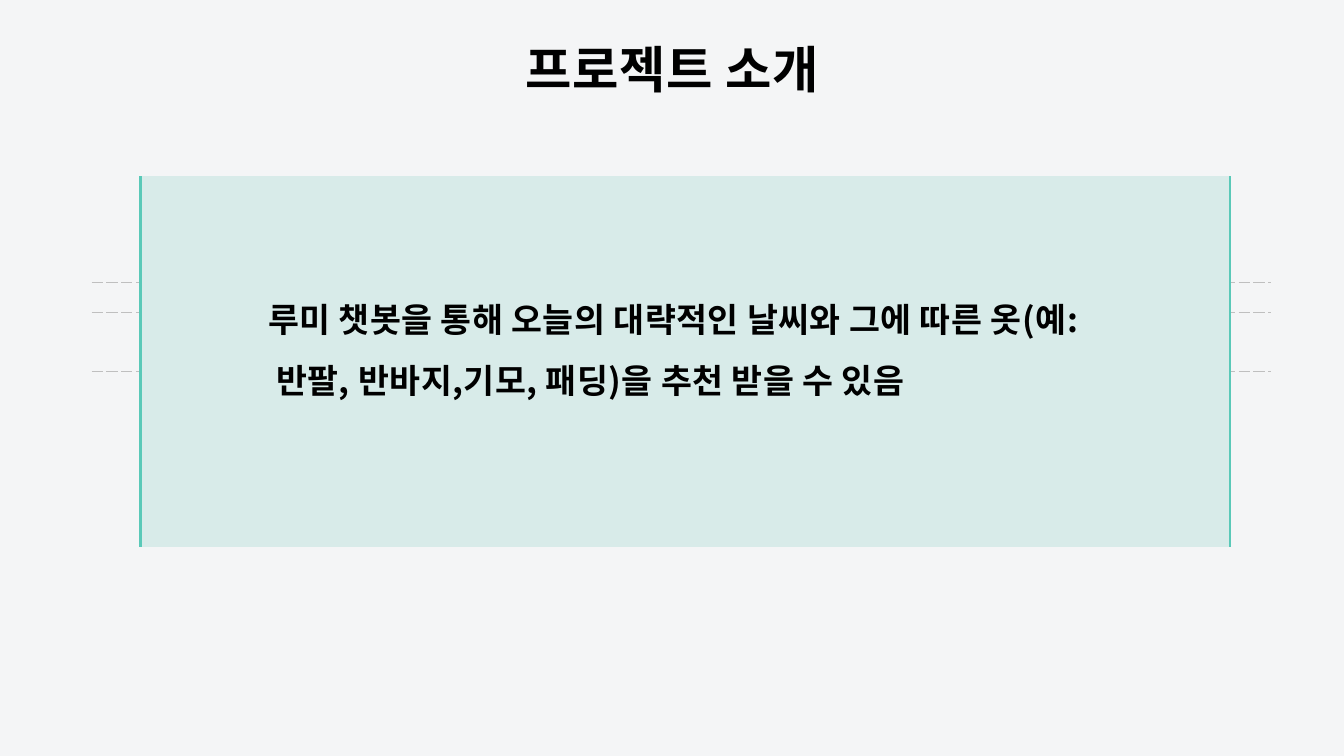
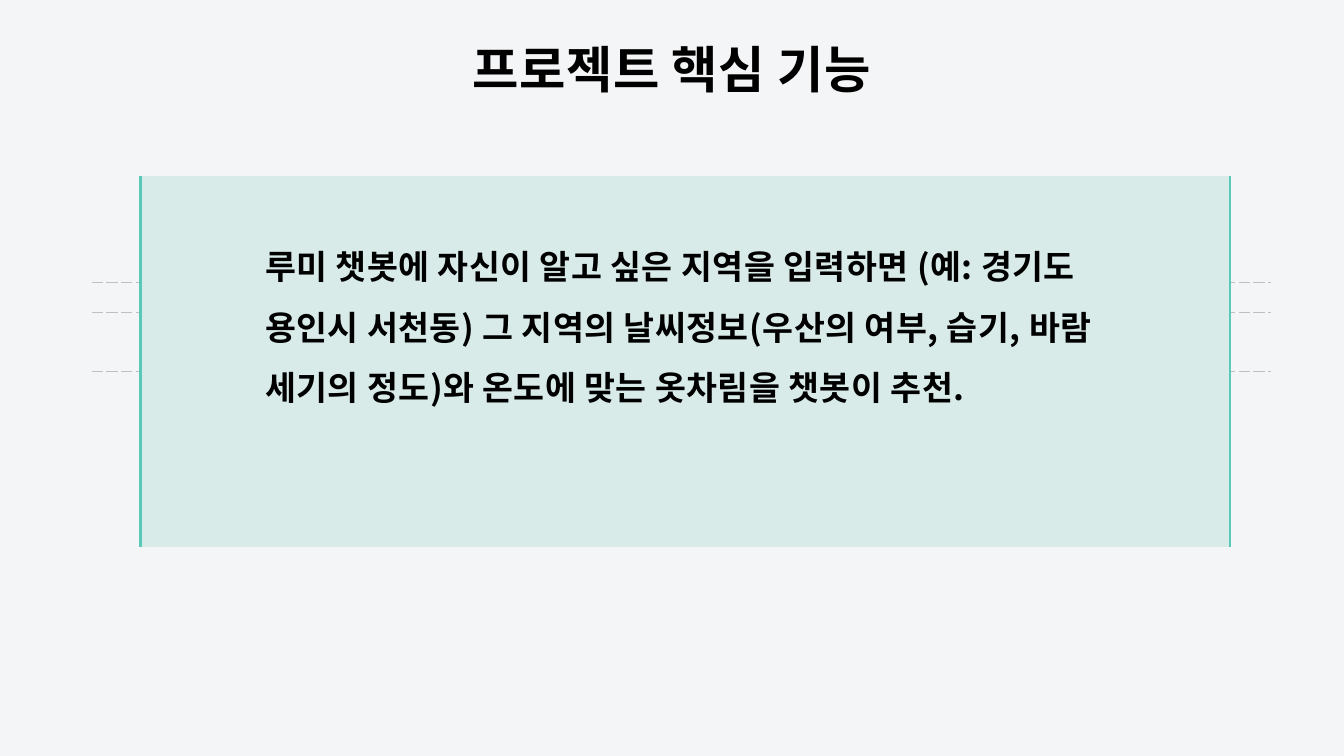
from lxml.etree import SubElement
from pptx import Presentation
from pptx.dml.color import RGBColor
from pptx.enum.text import MSO_ANCHOR, MSO_AUTO_SIZE, PP_ALIGN
from pptx.oxml.ns import qn
from pptx.util import Inches, Pt

FONT = "Noto Sans CJK KR"
BACKGROUND, TEXT = "F4F5F6", "000000"
PANEL, ACCENT, GUIDE = "D8EBE9", "5AC9B8", "BFBFBF"
LINE_FACTOR = 1.8  # line pitch as a multiple of the text size
TRACKING = 1.25  # letter spacing in hundredths of the text size

SLIDES = [
    ("프로젝트 소개", (2.56, 2.72, 8.2, 2.57),
     "루미 챗봇을 통해 오늘의 대략적인 날씨와 그에 따른 옷"
     "(예: 반팔, 반바지,기모, 패딩)을 추천 받을 수 있음"),
    ("프로젝트 핵심 기능", (2.53, 2.19, 8.4, 2.75),
     "루미 챗봇에 자신이 알고 싶은 지역을 입력하면 (예: 경기도 용인시 서천동) "
     "그 지역의 날씨정보(우산의 여부, 습기, 바람 세기의 정도)와 "
     "온도에 맞는 옷차림을 챗봇이 추천."),
]


def color(hex_code):
    return RGBColor.from_string(hex_code)


def set_borders(cell, sides, hex_code, width, dash="solid"):
    """Draw the named sides (of L, R, T, B) and blank the others."""
    properties = cell._tc.get_or_add_tcPr()
    for side in "LRTB":
        line = SubElement(properties, qn(f"a:ln{side}"), w=str(Pt(width)))
        if side in sides:
            fill = SubElement(line, qn("a:solidFill"))
            SubElement(fill, qn("a:srgbClr"), val=hex_code)
            SubElement(line, qn("a:prstDash"), val=dash)
        else:
            SubElement(line, qn("a:noFill"))


def add_empty_table(slide, box, column_count, row_heights):
    """Add an unstyled table whose rows may be lower than a text line."""
    frame = slide.shapes.add_table(len(row_heights), column_count, *map(Inches, box))
    table = frame.table
    table.first_row = table.horz_banding = False
    for row, height in zip(table.rows, row_heights):
        row.height = Inches(height)
    for cell in table.iter_cells():
        cell.margin_top = cell.margin_bottom = 0
        SubElement(cell.text_frame.paragraphs[0]._p, qn("a:endParaRPr"), sz="100")
    return table


def add_guides(slide):
    guides = add_empty_table(slide, (0.91, 2.22, 11.7, 1.46), 7, (0.58, 0.3, 0.58))
    for row_index, row in enumerate(guides.rows):
        for cell in row.cells:
            set_borders(cell, "TB" if row_index else "B", GUIDE, 0.25, "sysDash")
            cell.fill.background()
    guides.cell(0, 0).merge(guides.cell(0, 6))


def add_panel(slide):
    panel = add_empty_table(slide, (1.39, 1.75, 10.81, 3.68), 1, (3.68,)).cell(0, 0)
    set_borders(panel, "LR", ACCENT, 2.25)
    panel.fill.solid()
    panel.fill.fore_color.rgb = color(PANEL)


def write_placeholder(placeholder, box, text, size, align):
    placeholder.left, placeholder.top, placeholder.width, placeholder.height = map(Inches, box)
    frame = placeholder.text_frame
    frame.word_wrap = True
    frame.auto_size = MSO_AUTO_SIZE.NONE
    frame.vertical_anchor = MSO_ANCHOR.TOP
    paragraph = frame.paragraphs[0]
    properties = paragraph._p.get_or_add_pPr()
    properties.set("marL", "0")
    properties.set("indent", "0")
    SubElement(properties, qn("a:buNone"))
    paragraph.alignment = align
    paragraph.space_before = Pt(0)
    paragraph.line_spacing = Pt(size * LINE_FACTOR)
    run = paragraph.add_run()
    run.text = text
    font = run.font
    font.size, font.bold, font.name = Pt(size), True, FONT
    font.color.rgb = color(TEXT)
    font._element.set("spc", str(round(size * TRACKING)))
    SubElement(font._element, qn("a:ea"), typeface=FONT)


def add_content_slide(deck, title, body_box, body):
    slide = deck.slides.add_slide(deck.slide_layouts[1])
    add_guides(slide)
    add_panel(slide)
    write_placeholder(slide.shapes.title, (3.42, 0.03, 6.49, 1), title, 36, PP_ALIGN.CENTER)
    description = slide.placeholders[1]
    write_placeholder(description, body_box, body, 24, PP_ALIGN.LEFT)
    # The description must lie in front of the panel
    description.element.getparent().append(description.element)


def main():
    deck = Presentation()
    deck.slide_width, deck.slide_height = Inches(13.33), Inches(7.5)
    backdrop = deck.slide_master.background.fill
    backdrop.solid()
    backdrop.fore_color.rgb = color(BACKGROUND)
    for title, body_box, body in SLIDES:
        add_content_slide(deck, title, body_box, body)
    deck.save("out.pptx")


if __name__ == "__main__":
    main()
